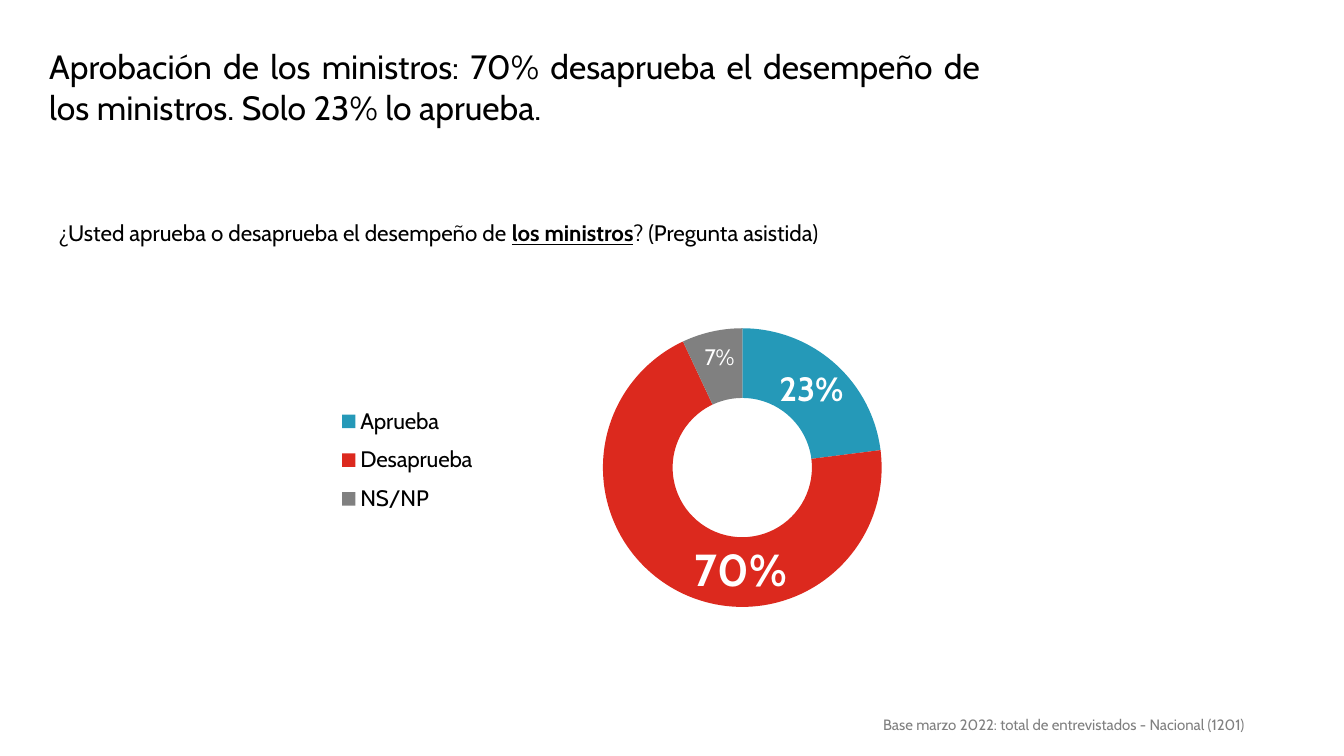
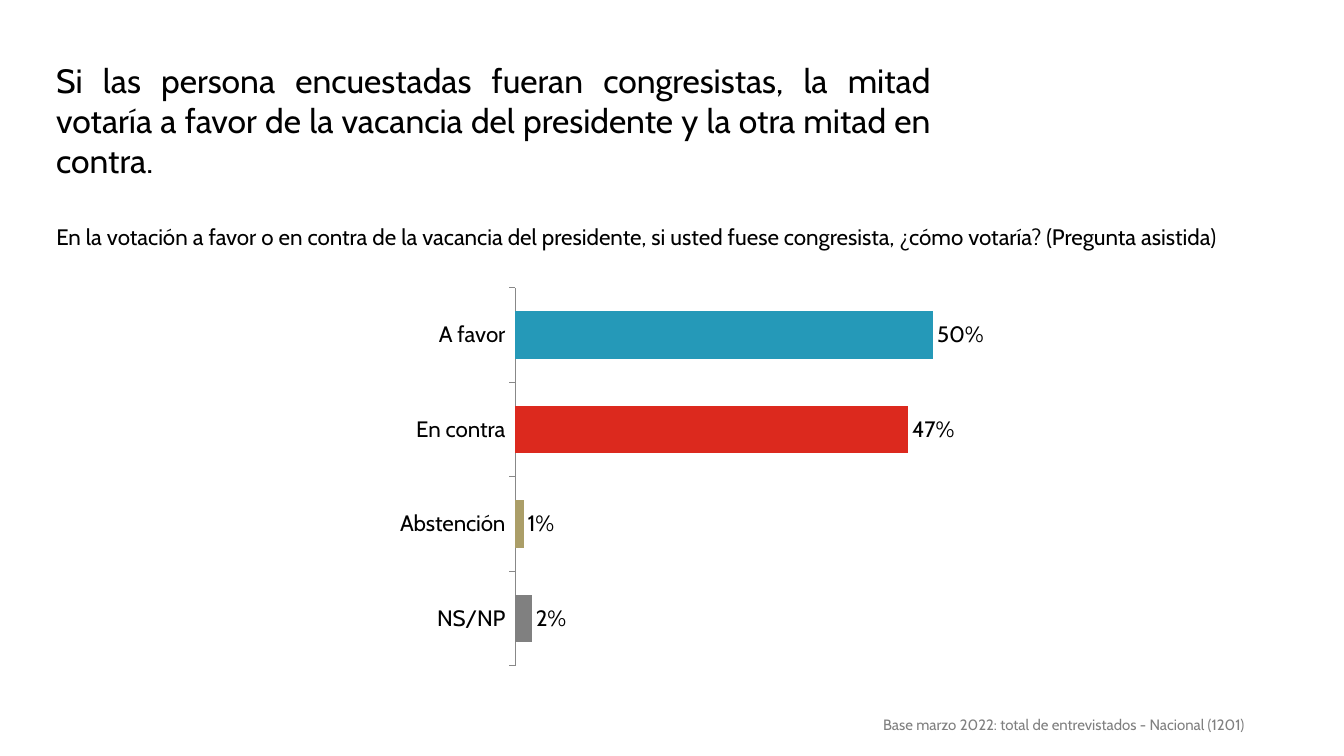
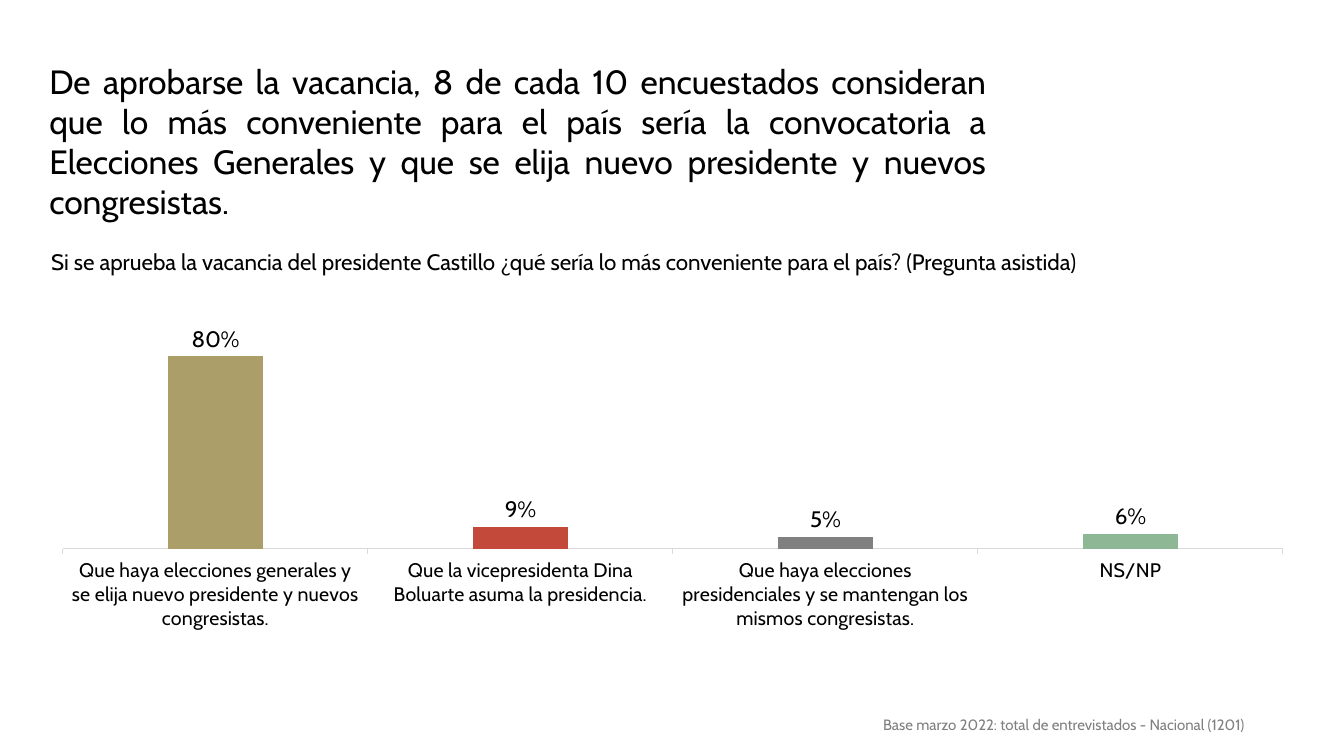
from lxml import etree
from pptx import Presentation
from pptx.chart.data import CategoryChartData as Data
from pptx.dml.color import RGBColor
from pptx.enum.chart import (XL_CHART_TYPE as Kind, XL_LABEL_POSITION as Spot,
                             XL_LEGEND_POSITION as Side, XL_TICK_MARK as Tick)
from pptx.enum.text import PP_ALIGN as Align
from pptx.oxml.ns import qn
from pptx.util import Pt

PX = 9144  # 100 px to the inch
FONT = "Cabin"
BLACK, WHITE, GRAY = "000000", "FFFFFF", "808080"
BLUE, RED, GOLD = "2599B8", "DC291E", "AB9E68"
BRICK, GREEN = "C34A3A", "8DB795"
BASE = "Base marzo 2022: total de entrevistados - Nacional (1201)"


def hue(code):
    return RGBColor.from_string(code)


def style(font, size, color=BLACK, bold=False):
    font.name, font.size, font.bold = FONT, Pt(size), bold
    font.color.rgb = hue(color)


# Text
def write(slide, box, parts, size, color=BLACK, align=Align.LEFT):
    """Place one paragraph; every second part is bold and underlined."""
    frame = slide.shapes.add_textbox(*[n * PX for n in box]).text_frame
    frame.word_wrap = True
    para = frame.paragraphs[0]
    para.alignment = align
    for i, part in enumerate(parts):
        run = para.add_run()
        run.text = part
        style(run.font, size, color, i % 2 == 1)
        run.font.underline = i % 2 == 1
    return para


def page(deck, title, box, parts, ask):
    """Add a slide with its footer, title and question."""
    slide = deck.slides.add_slide(deck.slide_layouts[6])
    foot = write(slide, (866, 707, 420, 26), [BASE], 10.7, GRAY, Align.JUSTIFY)
    foot.line_spacing = 0.9
    write(slide, box, [title], 24, align=Align.JUSTIFY)
    write(slide, ask, parts, 16)
    return slide


# Charts
def place(parent, at, inner=False, **sizes):
    """Give a chart part a manual layout as fractions of the chart."""
    for old in parent.findall(qn("c:layout")):
        parent.remove(old)
    outer = etree.Element(qn("c:layout"))
    manual = etree.SubElement(outer, qn("c:manualLayout"))
    if inner:
        etree.SubElement(manual, qn("c:layoutTarget")).set("val", "inner")
    if "w" in sizes:
        for mode in ("xMode", "yMode"):
            etree.SubElement(manual, qn("c:" + mode)).set("val", "edge")
    for key, val in sizes.items():
        etree.SubElement(manual, qn("c:" + key)).set("val", str(val))
    parent.insert(at, outer)


def plot(slide, kind, box, rows, area, size):
    """Add a one-series chart from rows of name, value and colour."""
    data = Data(number_format="0%")
    data.categories = [name for name, _, _ in rows]
    data.add_series("Series 1", [val for _, val, _ in rows])
    chart = slide.shapes.add_chart(kind, *[n * PX for n in box], data).chart
    chart.has_title = chart.has_legend = False
    style(chart.font, 14)
    body = chart.plots[0]
    body.vary_by_categories = False
    for i, (_, _, color) in enumerate(rows):
        fill = body.series[0].points[i].format.fill
        fill.solid()
        fill.fore_color.rgb = hue(color)
    body.has_data_labels = True
    tags = body.series[0].data_labels
    tags.show_value = True
    tags.number_format, tags.number_format_is_linked = "0%", False
    style(tags.font, size)
    x, y, w, h = area
    place(chart._chartSpace.xpath(".//c:plotArea")[0], 0, True, x=x, y=y, w=w, h=h)
    return chart


def ring(slide, box, rows, area):
    chart = plot(slide, Kind.DOUGHNUT, box, rows, area, 24)
    chart.plots[0].vary_by_categories = True
    series = chart.plots[0].series[0]
    style(series.data_labels.font, 24, WHITE, True)
    # Labels with their own size and offset
    for i, size, bold, x, y in ((1, 32, True, 0.05, 0.03), (2, 16, False, 0, -0.02)):
        style(series.points[i].data_label.font, size, WHITE, bold)
        tag = chart._chartSpace.xpath(f".//c:dLbl[c:idx/@val='{i}']")[0]
        place(tag, 1, x=x, y=y)
    # Legend to the left of the ring
    chart.has_legend = True
    key = chart.legend
    key.position, key.include_in_layout = Side.RIGHT, False
    style(key.font, 16)
    place(chart._chartSpace.xpath(".//c:legend")[0], 1, x=0.115, y=0.31, w=0.17, h=0.34)


def bars(slide, kind, box, rows, area, top, gap, lap, size, line):
    chart = plot(slide, kind, box, rows, area, 16)
    body = chart.plots[0]
    body.gap_width, body.overlap = gap, lap
    body.series[0].data_labels.position = Spot.OUTSIDE_END
    # Axes
    val, cat = chart.value_axis, chart.category_axis
    val.minimum_scale, val.maximum_scale = 0, top
    val.has_major_gridlines = val.visible = False
    cat.has_major_gridlines = False
    cat.major_tick_mark, cat.minor_tick_mark = Tick.OUTSIDE, Tick.NONE
    style(cat.tick_labels.font, size)
    cat.format.line.color.rgb = hue(line)
    cat.format.line.width = Pt(0.75)


def main():
    deck = Presentation()
    deck.slide_width, deck.slide_height = 1333 * PX, 750 * PX

    # Approval of the ministers
    slide = page(
        deck, "Aprobación de los ministros: 70% desaprueba el desempeño de "
        "los ministros. Solo 23% lo aprueba.", (39, 41, 943, 131),
        ["¿Usted aprueba o desaprueba el desempeño de ", "los ministros",
         "? (Pregunta asistida)"], (48, 213, 1213, 37))
    ring(slide, (210, 276, 970, 376),
         [("Aprueba", 0.23, BLUE), ("Desaprueba", 0.7, RED), ("NS/NP", 0.07, GRAY)],
         (0.4, 0, 0.285, 1))

    # Vote on the vacancy
    slide = page(
        deck, "Si las persona encuestadas fueran congresistas, la mitad votaría "
        "a favor de la vacancia del presidente y la otra mitad en contra.",
        (46, 54, 887, 131),
        ["En la votación a favor o en contra de la vacancia del presidente, si usted "
         "fuese congresista, ¿cómo votaría? (Pregunta asistida)"], (46, 216, 1211, 37))
    bars(slide, Kind.BAR_CLUSTERED, (123, 285, 970, 376),
         [("NS/NP", 0.02, GRAY), ("Abstención", 0.01, GOLD),
          ("En contra", 0.47, RED), ("A favor", 0.5, BLUE)],
         (0.4, 0, 0.513, 1), top=0.6, gap=100, lap=0, size=16, line="888888")

    # What should follow
    slide = page(
        deck, "De aprobarse la vacancia, 8 de cada 10 encuestados consideran que lo "
        "más conveniente para el país sería la convocatoria a Elecciones Generales "
        "y que se elija nuevo presidente y nuevos congresistas.", (39, 55, 949, 131),
        ["Si se aprueba la vacancia del presidente Castillo ¿qué sería lo más "
         "conveniente para el país? (Pregunta asistida)"], (41, 241, 1213, 37))
    bars(slide, Kind.COLUMN_CLUSTERED, (60, 291, 1213, 404),
         [("Que haya elecciones generales y se elija nuevo presidente y nuevos "
           "congresistas.", 0.8, GOLD),
          ("Que la vicepresidenta Dina Boluarte asuma la presidencia.", 0.09, BRICK),
          ("Que haya elecciones presidenciales y se mantengan los mismos "
           "congresistas.", 0.05, GRAY),
          ("NS/NP", 0.06, GREEN)],
         (0.002, 0.037, 0.998, 0.59), top=1, gap=219, lap=-27, size=14, line="D9D9D9")

    deck.save("out.pptx")


if __name__ == "__main__":
    main()
